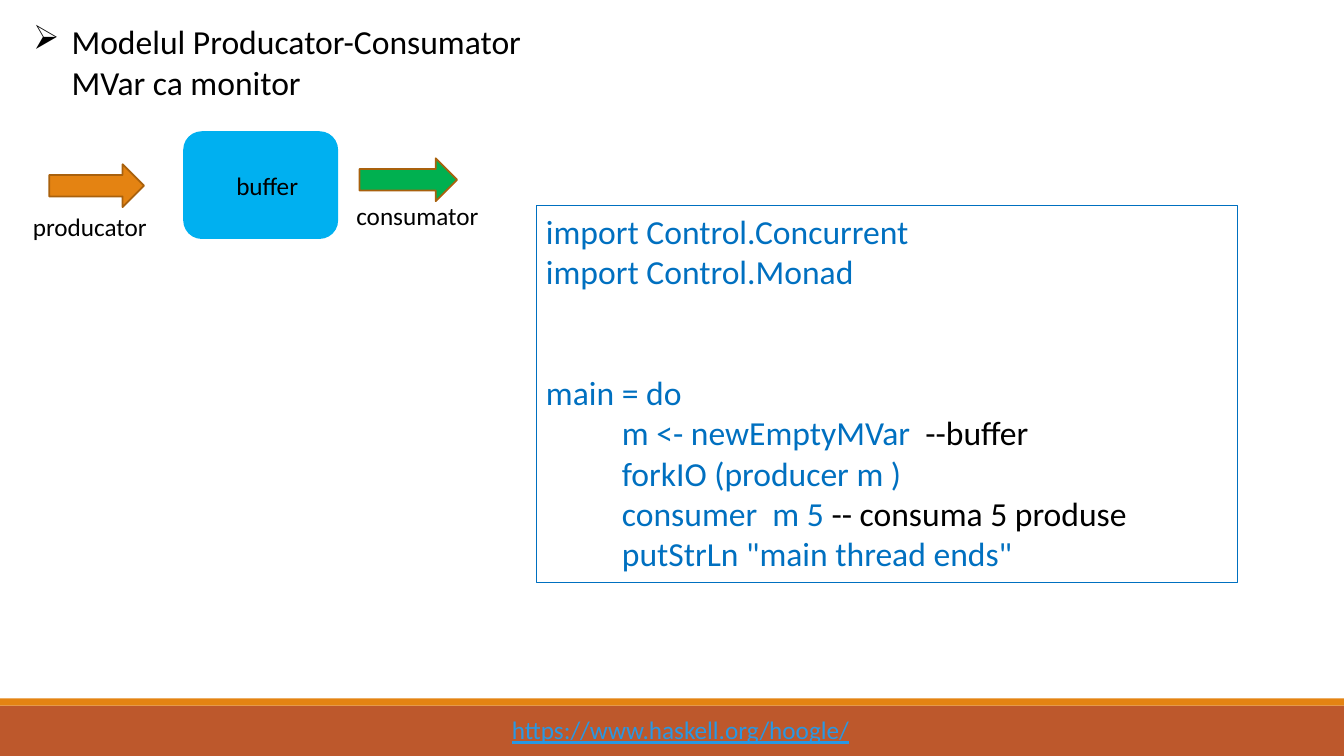
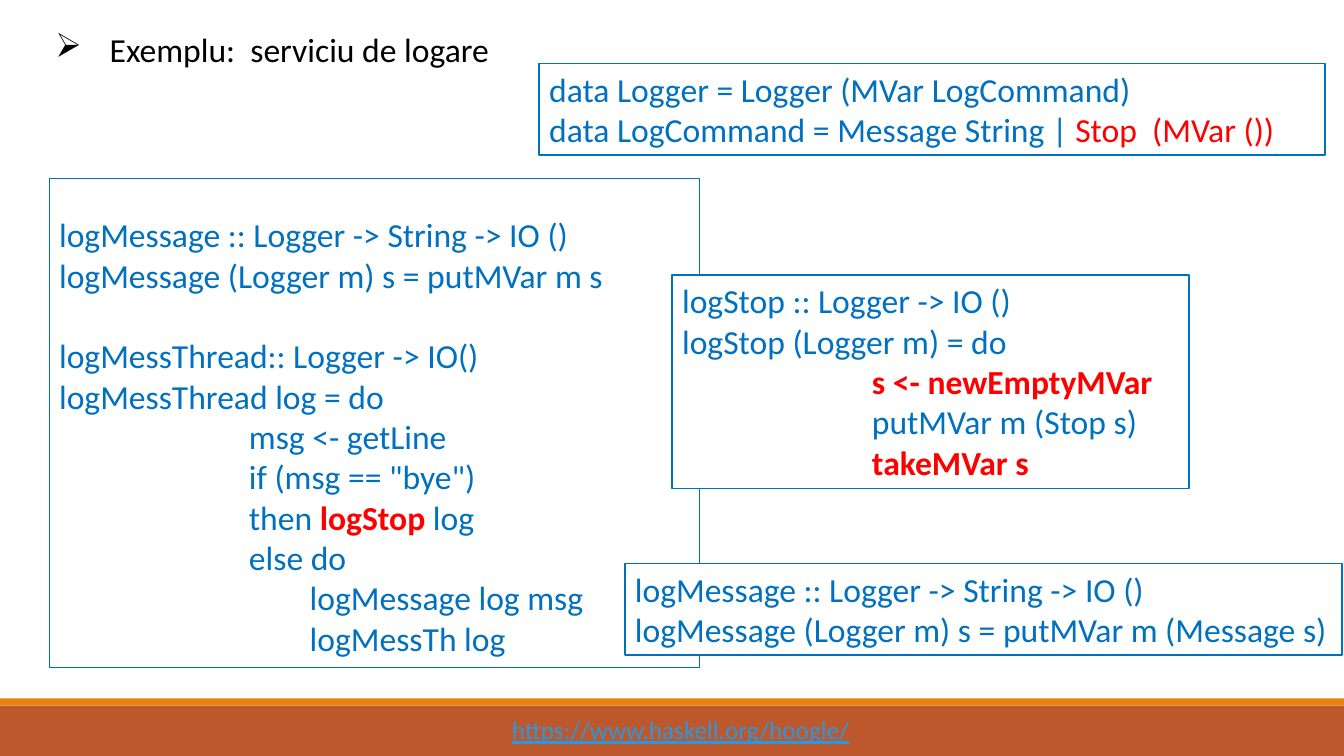
import pptx
import pptx.util
import pptx.dml.color
import pptx.enum.shapes
import pptx.enum.text
import pptx.oxml.ns
import lxml.etree

Cm = pptx.util.Cm
Pt = pptx.util.Pt
RGBColor = pptx.dml.color.RGBColor
KIND = pptx.enum.shapes.MSO_SHAPE
ALIGN = pptx.enum.text.PP_ALIGN
ANCHOR = pptx.enum.text.MSO_ANCHOR
FIT = pptx.enum.text.MSO_AUTO_SIZE

BLACK = RGBColor(0x00, 0x00, 0x00)
WHITE = RGBColor(0xFF, 0xFF, 0xFF)
BLUE = RGBColor(0x00, 0x70, 0xC0)
RED = RGBColor(0xFF, 0x00, 0x00)
SKY = RGBColor(0x00, 0xB0, 0xF0)
GREEN = RGBColor(0x00, 0xB0, 0x50)
GOLD = RGBColor(0xE4, 0x83, 0x12)
BROWN = RGBColor(0xA9, 0x61, 0x0D)
RUST = RGBColor(0xBD, 0x58, 0x2C)
LINK = RGBColor(0x29, 0x98, 0xE3)

FONT = "Calibri"
LARGE = Pt(24)
SMALL = Pt(18)
GAP = 28.8

FRAME = {"word_wrap": True, "auto_size": FIT.NONE, "vertical_anchor": ANCHOR.TOP}

MAIN_CODE = [
    "import Control.Concurrent",
    "import Control.Monad",
    "",
    "",
    "main = do",
    [("          m <- newEmptyMVar  ", BLUE), ("--buffer", BLACK)],
    "          forkIO (producer m )",
    [("          consumer  m 5 ", BLUE), ("-- consuma 5 produse", BLACK)],
    "          putStrLn \"main thread ends\"",
]
THREAD_CODE = [
    "logMessage :: Logger -> String -> IO ()",
    "logMessage (Logger m) s = putMVar m s",
    "",
    "logMessThread:: Logger -> IO()",
    "logMessThread log = do",
    "                         msg <- getLine",
    "                         if (msg == \"bye\")",
    [("                         then ", BLUE), ("logStop ", RED, True), ("log", BLUE)],
    "                         else do",
    "                                 logMessage log msg",
    "                                 logMessTh log",
]
STOP_CODE = [
    "logStop :: Logger -> IO ()",
    "logStop (Logger m) = do",
    [("                         s <- newEmptyMVar", RED, True)],
    "                         putMVar m (Stop s)",
    [("                         takeMVar s", RED, True)],
]
DATA_CODE = [
    "data Logger = Logger (MVar LogCommand)",
    [("data LogCommand = Message String | ", BLUE), ("Stop  (MVar ())", RED)],
]
SEND_CODE = [
    "logMessage :: Logger -> String -> IO ()",
    "logMessage (Logger m) s = putMVar m (Message s)",
]


def style(item, form):
    for key, value in form.items():
        setattr(item, key, value)


def write(para, text, size, color, bold=False, line=False):
    run = para.add_run()
    run.text = text
    style(run.font, {"name": FONT, "size": size, "bold": bold, "underline": line})
    run.font.color.rgb = color


def shape(slide, kind, box, fill=None, edge=None, width=1.25):
    item = slide.shapes.add_shape(kind, *map(Cm, box))
    item.shadow.inherit = False
    if fill is None:
        item.fill.background()
    else:
        item.fill.solid()
        item.fill.fore_color.rgb = fill
    if edge is None:
        item.line.fill.background()
    else:
        item.line.color.rgb = edge
        item.line.width = Pt(width)
    return item


def label(slide, box, text, color=BLACK, line=False):
    frame = slide.shapes.add_textbox(*map(Cm, box)).text_frame
    style(frame, FRAME)
    write(frame.paragraphs[0], text, SMALL, color, line=line)


def head(slide, box, lines, indent):
    title = slide.shapes.title
    style(title, dict(zip(("left", "top", "width", "height"), map(Cm, box))))
    frame = title.text_frame
    style(frame, FRAME)
    for at, text in enumerate(lines):
        para = frame.add_paragraph() if at else frame.paragraphs[0]
        para.alignment = ALIGN.LEFT
        props = para._p.get_or_add_pPr()
        props.set("marL", str(Cm(indent)))
        props.set("indent", str(0 if at else -Cm(indent)))
        if not at:
            mark = lxml.etree.SubElement(props, pptx.oxml.ns.qn("a:buChar"))
            mark.set("char", "➢")
        write(para, text, LARGE, BLACK)


def code(slide, box, lines, fill=WHITE, width=1.25, inset=0.13):
    frame = shape(slide, KIND.RECTANGLE, box, fill, BLUE, width).text_frame
    style(frame, FRAME)
    frame.margin_top = Cm(inset)
    para, gap = None, 0
    for line in lines:
        if not line:
            gap += GAP
            continue
        para = frame.add_paragraph() if para else frame.paragraphs[0]
        style(para, {"alignment": ALIGN.LEFT, "space_before": Pt(gap)})
        gap = 0
        for text, *look in [(line, BLUE)] if isinstance(line, str) else line:
            write(para, text, LARGE, *look)


def flow(slide, box):
    left, top, width, height = box
    tank = shape(slide, KIND.ROUNDED_RECTANGLE, (left + 4.06, top, 3.86, height), SKY, SKY)
    frame = tank.text_frame
    style(frame, {"margin_left": Cm(0.58), "vertical_anchor": ANCHOR.MIDDLE})
    frame.paragraphs[0].alignment = ALIGN.CENTER
    write(frame.paragraphs[0], "buffer", SMALL, BLACK)
    for dx, dy, wide, fill in ((0.66, 0.81, 2.39, GOLD), (8.48, 0.66, 2.46, GREEN)):
        shape(slide, KIND.RIGHT_ARROW, (left + dx, top + dy, wide, 1.08), fill, BROWN)
    for dx, dy, text in ((0, 1.88, "producator"), (8.15, 1.6, "consumator")):
        label(slide, (left + dx, top + dy, width - 8.15, 1.02), text)


def foot(slide, box):
    left, top, width, height = box
    shape(slide, KIND.RECTANGLE, (left, top + 0.18, width, height - 0.18), RUST)
    shape(slide, KIND.RECTANGLE, (left, top, width, 0.18), GOLD)
    label(slide, (left + 12.65, top + 0.28, 9.12, 1.02),
          "https://www.haskell.org/hoogle/", LINK, True)


def page(deck):
    slide = deck.slides.add_slide(deck.slide_layouts[5])
    foot(slide, (0, 17.6, 33.87, 1.45))
    return slide


def buffer(deck):
    slide = page(deck)
    code(slide, (13.51, 5.18, 17.68, 9.5), MAIN_CODE, None, 0.75)
    head(slide, (0.58, 0.41, 12.93, 2.31),
         ["Modelul Producator-Consumator", "MVar ca monitor"], 0.97)
    flow(slide, (0.58, 3.33, 11.8, 2.67))


def logger(deck):
    slide = page(deck)
    head(slide, (1.14, 0.61, 12.2, 1.27), ["Exemplu:  serviciu de logare"], 1.37)
    code(slide, (1.24, 4.5, 16.38, 12.32), THREAD_CODE, None, 0.75, 0.9)
    code(slide, (16.94, 6.93, 13.03, 5.38), STOP_CODE)
    code(slide, (13.59, 1.6, 19.81, 2.31), DATA_CODE)
    code(slide, (15.75, 14.2, 18.08, 2.31), SEND_CODE)


def main():
    deck = pptx.Presentation()
    style(deck, {"slide_width": Cm(33.87), "slide_height": Cm(19.05)})
    buffer(deck)
    logger(deck)
    deck.save("out.pptx")


if __name__ == "__main__":
    main()
